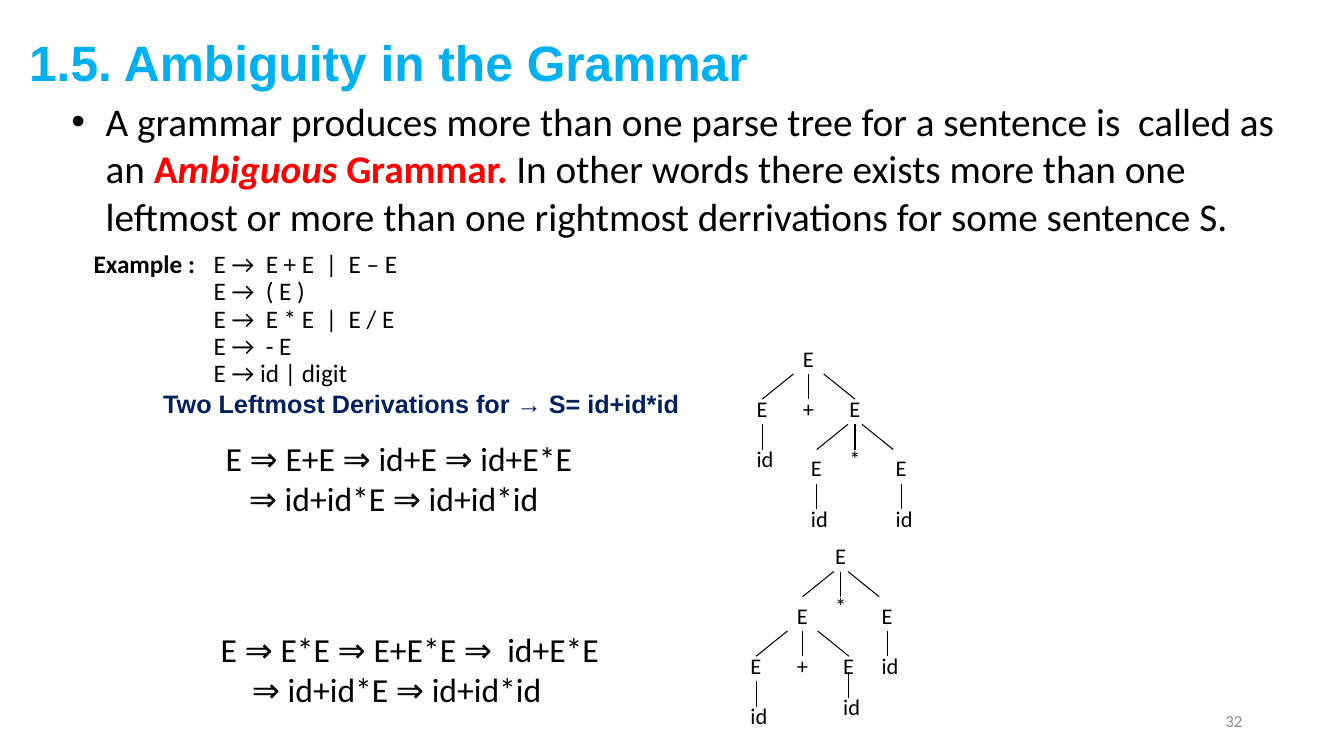
from dataclasses import dataclass

import pptx
import pptx.dml.color
import pptx.enum.shapes
import pptx.enum.text
import pptx.oxml
import pptx.oxml.ns
import pptx.util
from pptx.util import Inches

ALIGN = pptx.enum.text.PP_ALIGN
ANCHOR = pptx.enum.text.MSO_ANCHOR


@dataclass(frozen=True)
class Theme:
    heading_font: str = "Arial"
    body_font: str = "Calibri"
    title: str = "00B0F0"
    text: str = "000000"
    emphasis: str = "FF0000"
    caption: str = "002060"
    number: str = "8C8C8C"
    title_size: float = 35.5
    body_size: float = 28
    derivation_size: float = 24
    example_size: float = 18
    tree_size: float = 16
    number_size: float = 12
    stroke: float = 0.75


THEME = Theme()


@dataclass
class Line:
    """A paragraph: runs of (text, format) with indents in inches."""
    runs: list
    margin: float = 0
    indent: float = 0
    spacing: float = 1.0
    bullet: str = ""


@dataclass
class Node:
    """A tree symbol, placed in inches relative to its parent."""
    text: str
    offset: float = 0
    drop: float = 0.5
    children: tuple = ()
    reach: float | None = None
    stroke_top: float = 0.34


def add_text(slide, box, lines, size=18, color=THEME.text, font=THEME.body_font,
             bold=False, italic=False, align=ALIGN.LEFT, anchor=ANCHOR.TOP, wrap=True):
    shape = slide.shapes.add_textbox(*map(Inches, box))
    frame = shape.text_frame
    frame.word_wrap = wrap
    frame.vertical_anchor = anchor
    for index, line in enumerate(lines):
        paragraph = frame.add_paragraph() if index else frame.paragraphs[0]
        paragraph.alignment = align
        paragraph.line_spacing = line.spacing
        properties = paragraph._p.get_or_add_pPr()
        properties.set("marL", str(Inches(line.margin)))
        properties.set("indent", str(Inches(line.indent)))
        if line.bullet:
            for tag, name, value in (("buFont", "typeface", "Arial"),
                                     ("buChar", "char", line.bullet)):
                element = pptx.oxml.xmlchemy.OxmlElement("a:" + tag)
                element.set(name, value)
                properties.append(element)
        for text, changes in line.runs:
            style = dict(size=size, color=color, font=font, bold=bold, italic=italic)
            style.update(changes)
            run = paragraph.add_run()
            run.text = text
            run.font.size = pptx.util.Pt(style["size"])
            run.font.name = style["font"]
            run.font.bold = style["bold"]
            run.font.italic = style["italic"]
            run.font.color.rgb = pptx.dml.color.RGBColor.from_string(style["color"])


def add_stroke(slide, start, end):
    connector = slide.shapes.add_connector(
        pptx.enum.shapes.MSO_CONNECTOR.STRAIGHT, *map(Inches, start + end))
    connector.line.width = pptx.util.Pt(THEME.stroke)
    connector.line.color.rgb = pptx.dml.color.RGBColor.from_string(THEME.text)
    connector._element.spPr.append(pptx.oxml.xmlchemy.OxmlElement("a:effectLst"))


def add_title(slide, box):
    add_text(slide, box, [Line([("1.5. Ambiguity in the Grammar", {})], spacing=0.9)],
             size=THEME.title_size, color=THEME.title, font=THEME.heading_font,
             bold=True, anchor=ANCHOR.MIDDLE)


def add_definition(slide, box):
    strong = dict(color=THEME.emphasis, bold=True)
    runs = [
        ("A grammar produces more than one parse tree for a sentence is  called as an ", {}),
        ("A", strong),
        ("mbiguous ", dict(strong, italic=True)),
        ("Grammar.", strong),
        (" In other words there exists more than one leftmost or more than one "
         "rightmost derrivations for some sentence S.", {}),
    ]
    add_text(slide, box, [Line(runs, margin=0.34, indent=-0.34, bullet="•")],
             size=THEME.body_size)


def add_example(slide, box):
    rule_margin, label_margin = 1.69, 0.5
    lines = [Line([("Example :\t", dict(bold=True)), ("E →  E + E  |  E – E", {})],
                  rule_margin, label_margin - rule_margin, 0.9)]
    for rule in ("E →  ( E )", "E →  E * E  |  E / E", "E →  - E", "E → id | digit"):
        lines.append(Line([(rule, {})], rule_margin, spacing=0.9))
    caption = dict(font=THEME.heading_font, color=THEME.caption, bold=True)
    lines.append(Line([("Two Leftmost Derivations for → S= id+id*id", caption)], 1.19))
    add_text(slide, box, lines, size=THEME.example_size)


def add_derivation(slide, box, first, second, indent):
    add_text(slide, box, [Line([(first, {})]), Line([(second, {})], indent)],
             size=THEME.derivation_size)


def add_tree(slide, center, top, node):
    """Draw a node, then its strokes and subtrees."""
    run, rise, letter_width, height = 0.31, 0.25, 0.31, 0.37
    width = height if node.text == "id" else letter_width
    add_text(slide, (center - letter_width / 2, top, width, height),
             [Line([(node.text, {})])], size=THEME.tree_size, wrap=False)
    for child in node.children:
        reach = child.offset if child.reach is None else child.reach
        slant = (reach > 0) - (reach < 0)
        stroke_top = top + child.stroke_top
        add_stroke(slide, (center + reach - slant * run, stroke_top),
                   (center + reach, stroke_top + rise))
        add_tree(slide, center + child.offset, top + child.drop, child)


def add_slide_number(slide, box):
    add_text(slide, box, [Line([("32", {})])], size=THEME.number_size,
             color=THEME.number, align=ALIGN.RIGHT, anchor=ANCHOR.MIDDLE)


def build_ambiguity_slide(presentation):
    slide = presentation.slides.add_slide(presentation.slide_layouts[6])
    add_title(slide, (0.19, 0.2, 12.89, 0.89))
    add_definition(slide, (0.61, 0.92, 12.59, 1.51))
    add_example(slide, (0.33, 2.45, 7.01, 1.39))

    # Two derivations of the same sentence
    last_steps = "⇒ id+id*E ⇒ id+id*id"
    add_derivation(slide, (2.14, 4.29, 3.81, 0.95),
                   "E ⇒ E+E ⇒ id+E ⇒ id+E*E", last_steps, 0.23)
    add_derivation(slide, (2.09, 6.19, 4.25, 0.91),
                   "E ⇒ E*E ⇒ E+E*E ⇒  id+E*E", last_steps, 0.31)

    # Parse tree with the sum at the root
    leaf = (Node("id"),)
    product = (Node("E", -0.38, 0.59, leaf), Node("*"),
               Node("E", 0.46, 0.59, leaf, reach=0.38))
    add_tree(slide, 8.02, 3.37, Node("E", children=(
        Node("E", -0.46, children=leaf), Node("+"), Node("E", 0.46, children=product))))

    # Parse tree with the product at the root
    raised_leaf = (Node("id", drop=0.41, stroke_top=0.25),)
    total = (Node("E", -0.46, children=leaf), Node("+"),
             Node("E", 0.46, children=raised_leaf))
    add_tree(slide, 8.34, 5.33, Node("E", children=(
        Node("E", -0.38, 0.59, total), Node("*"),
        Node("E", 0.46, 0.59, leaf, reach=0.38))))

    add_slide_number(slide, (9.42, 6.95, 3, 0.4))


def main():
    presentation = pptx.Presentation()
    presentation.slide_width = Inches(13.33)
    presentation.slide_height = Inches(7.5)
    build_ambiguity_slide(presentation)
    presentation.save("out.pptx")


if __name__ == "__main__":
    main()
